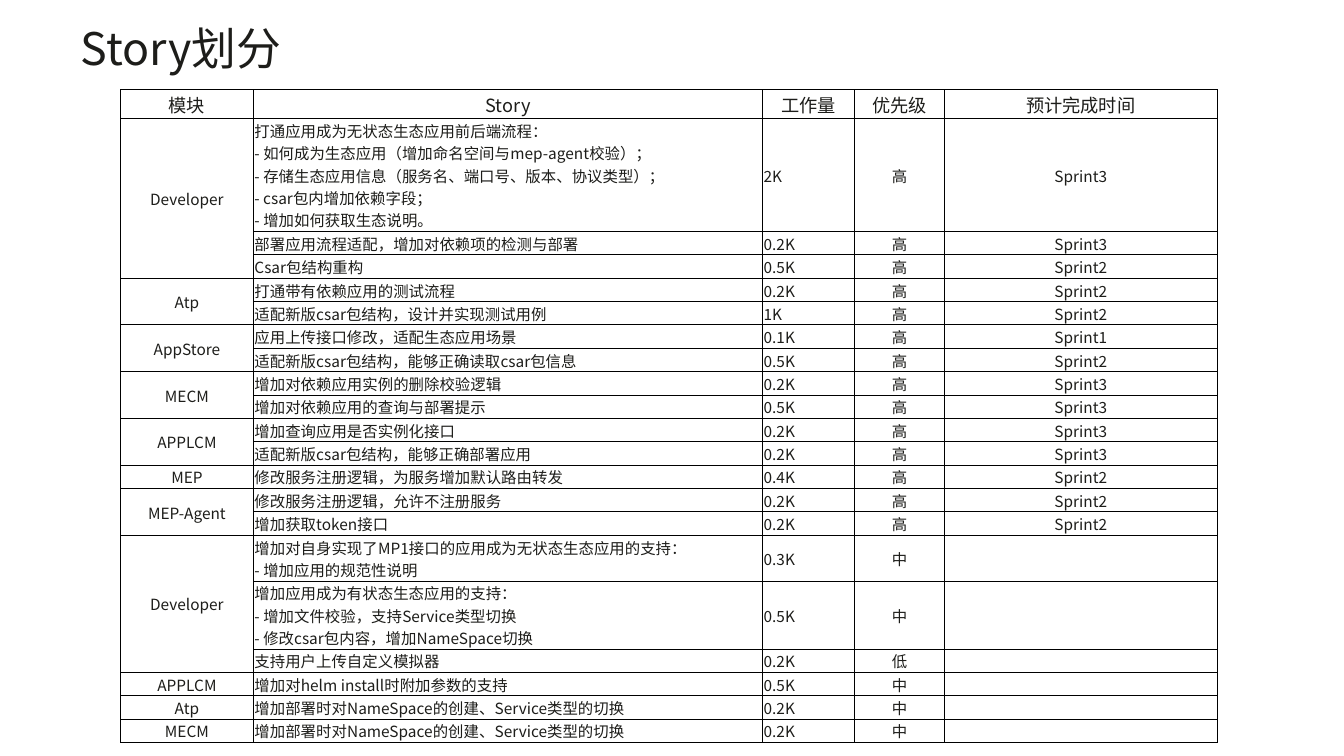
from lxml import etree
from pptx import Presentation
from pptx.dml.color import RGBColor
from pptx.enum import text
from pptx.oxml import ns
from pptx.util import Pt

FONT = "Noto Sans CJK SC"
COLORS = {"ink": "1D1D1A", "line": "000000"}
WIDTHS = [95.1, 363.9, 65.7, 64.4, 194.6]
LINE = 15.9
PAD = 0.8
HEADS = ["模块", "Story", "工作量", "优先级", "预计完成时间"]
GROUPS = [
    ("Developer", [
        ("打通应用成为无状态生态应用前后端流程：\n"
         "- 如何成为生态应用（增加命名空间与mep-agent校验）；\n"
         "- 存储生态应用信息（服务名、端口号、版本、协议类型）；\n"
         "- csar包内增加依赖字段；\n"
         "- 增加如何获取生态说明。", "2K", "高", "Sprint3"),
        ("部署应用流程适配，增加对依赖项的检测与部署", "0.2K", "高", "Sprint3"),
        ("Csar包结构重构", "0.5K", "高", "Sprint2")]),
    ("Atp", [
        ("打通带有依赖应用的测试流程", "0.2K", "高", "Sprint2"),
        ("适配新版csar包结构，设计并实现测试用例", "1K", "高", "Sprint2")]),
    ("AppStore", [
        ("应用上传接口修改，适配生态应用场景", "0.1K", "高", "Sprint1"),
        ("适配新版csar包结构，能够正确读取csar包信息", "0.5K", "高", "Sprint2")]),
    ("MECM", [
        ("增加对依赖应用实例的删除校验逻辑", "0.2K", "高", "Sprint3"),
        ("增加对依赖应用的查询与部署提示", "0.5K", "高", "Sprint3")]),
    ("APPLCM", [
        ("增加查询应用是否实例化接口", "0.2K", "高", "Sprint3"),
        ("适配新版csar包结构，能够正确部署应用", "0.2K", "高", "Sprint3")]),
    ("MEP", [
        ("修改服务注册逻辑，为服务增加默认路由转发", "0.4K", "高", "Sprint2")]),
    ("MEP-Agent", [
        ("修改服务注册逻辑，允许不注册服务", "0.2K", "高", "Sprint2"),
        ("增加获取token接口", "0.2K", "高", "Sprint2")]),
    ("Developer", [
        ("增加对自身实现了MP1接口的应用成为无状态生态应用的支持：\n"
         "- 增加应用的规范性说明", "0.3K", "中", ""),
        ("增加应用成为有状态生态应用的支持：\n"
         "- 增加文件校验，支持Service类型切换\n"
         "- 修改csar包内容，增加NameSpace切换", "0.5K", "中", ""),
        ("支持用户上传自定义模拟器", "0.2K", "低", "")]),
    ("APPLCM", [("增加对helm install时附加参数的支持", "0.5K", "中", "")]),
    ("Atp", [("增加部署时对NameSpace的创建、Service类型的切换", "0.2K", "中", "")]),
    ("MECM", [("增加部署时对NameSpace的创建、Service类型的切换", "0.2K", "中", "")]),
]


def add_run(para, words, size):
    run = para.add_run()
    run.text = words
    run.font.size = Pt(size)
    run.font.bold = False
    run.font.name = FONT
    run.font.color.rgb = RGBColor.from_string(COLORS["ink"])
    east = etree.SubElement(run.font._element, ns.qn("a:ea"))
    east.set("typeface", FONT)


def add_edges(cell):
    props = cell._tc.get_or_add_tcPr()
    for spot, side in enumerate(("lnL", "lnR", "lnT", "lnB")):
        edge = etree.Element(ns.qn("a:" + side), w=str(Pt(0.5)))
        fill = etree.SubElement(edge, ns.qn("a:solidFill"))
        etree.SubElement(fill, ns.qn("a:srgbClr"), val=COLORS["line"])
        props.insert(spot, edge)


def fill_cell(cell, words, size, center):
    cell.margin_left = cell.margin_right = cell.margin_top = Pt(0.7)
    cell.margin_bottom = 0
    cell.vertical_anchor = text.MSO_ANCHOR.MIDDLE
    cell.fill.background()
    add_edges(cell)
    para = cell.text_frame.paragraphs[0]
    para.alignment = text.PP_ALIGN.CENTER if center else text.PP_ALIGN.LEFT
    if not words:
        etree.SubElement(para._p, ns.qn("a:endParaRPr"), sz=str(size * 100))
        return
    for count, line in enumerate(words.split("\n")):
        if count:
            para.add_line_break()
        add_run(para, line, size)
    for rest in para._p.findall(ns.qn("a:br")):
        etree.SubElement(rest, ns.qn("a:rPr"), sz=str(size * 100))


def add_title(slide):
    title = slide.shapes.title
    title.left, title.top = Pt(57.6), Pt(18.7)
    title.width, title.height = Pt(846), Pt(78.5)
    frame = title.text_frame
    frame.margin_left = frame.margin_right = 0
    frame.margin_top = frame.margin_bottom = 0
    frame.vertical_anchor = text.MSO_ANCHOR.TOP
    frame.auto_size = text.MSO_AUTO_SIZE.NONE
    para = frame.paragraphs[0]
    para.alignment = text.PP_ALIGN.LEFT
    para.line_spacing = Pt(34.3)
    add_run(para, "Story划分", 32)


def add_grid(slide):
    rows = [HEADS]
    spans = []
    for name, tasks in GROUPS:
        spans.append((len(rows), len(rows) + len(tasks) - 1))
        for count, task in enumerate(tasks):
            rows.append(["" if count else name, *task])
    highs = [20.7] + [LINE * (row[1].count("\n") + 1) + PAD for row in rows[1:]]
    grid = slide.shapes.add_table(
        len(rows), len(WIDTHS), Pt(86.1), Pt(64),
        Pt(sum(WIDTHS)), Pt(sum(highs))).table
    grid.first_row = grid.horz_banding = False
    for col, width in zip(grid.columns, WIDTHS):
        col.width = Pt(width)
    for r, row in enumerate(rows):
        grid.rows[r].height = Pt(highs[r])
        for c, words in enumerate(row):
            center = r == 0 or c not in (1, 2)
            fill_cell(grid.cell(r, c), words, 11 if r else 13, center)
    for first, last in spans:
        if last > first:
            grid.cell(first, 0).merge(grid.cell(last, 0))


def main():
    deck = Presentation()
    deck.slide_width, deck.slide_height = Pt(960.5), Pt(540)
    slide = deck.slides.add_slide(deck.slide_layouts[5])
    add_title(slide)
    add_grid(slide)
    deck.save("out.pptx")


if __name__ == "__main__":
    main()
